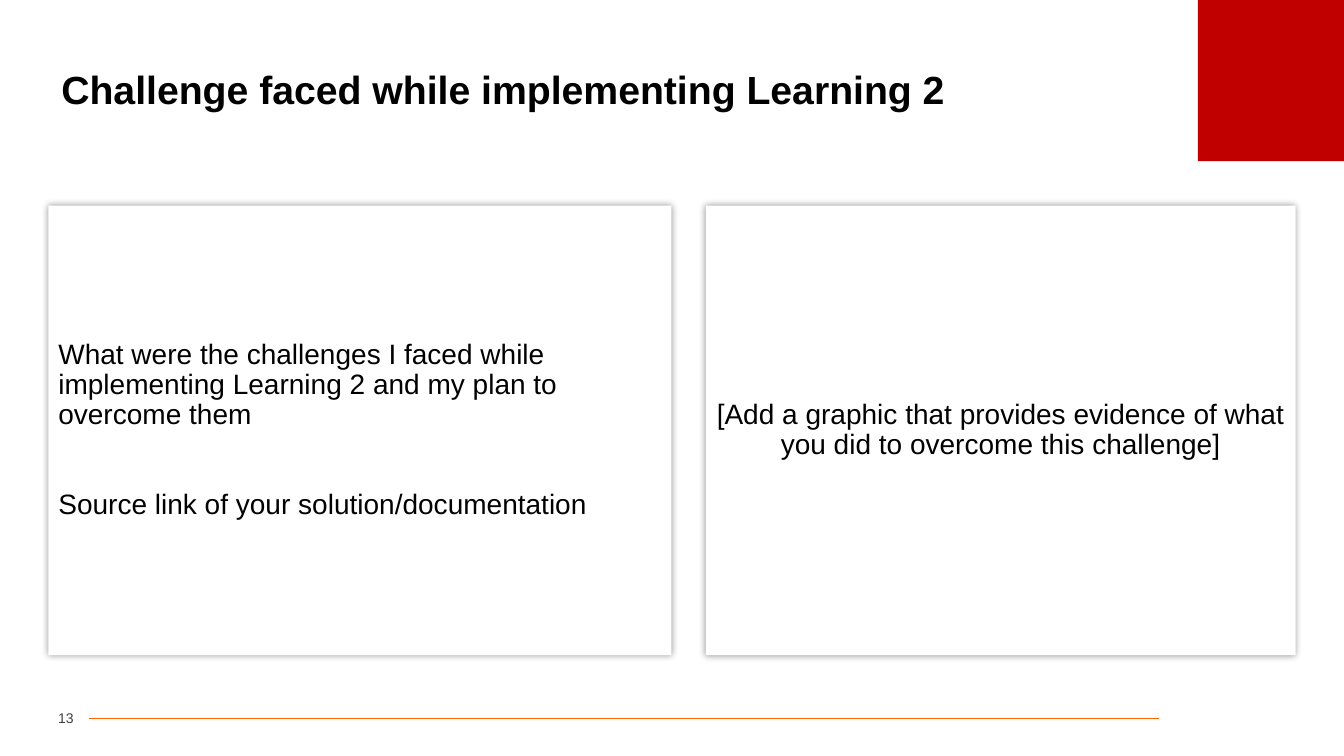
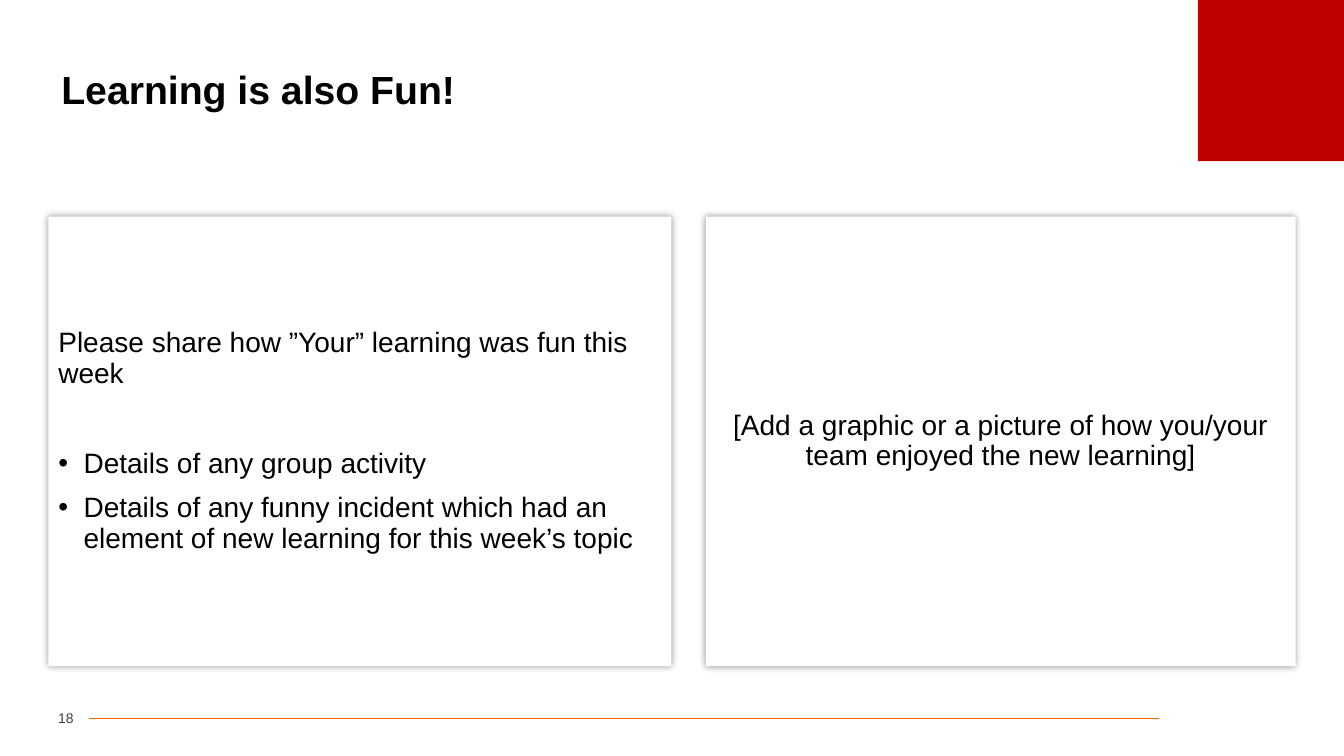
from dataclasses import dataclass

from lxml.etree import SubElement
from pptx import Presentation
from pptx.dml.color import RGBColor
from pptx.enum.shapes import MSO_CONNECTOR, MSO_SHAPE
from pptx.enum.text import MSO_ANCHOR as Anchor, PP_ALIGN as Align
from pptx.oxml.ns import qn
from pptx.slide import Slide
from pptx.text.text import TextFrame
from pptx.util import Inches, Length, Pt

COLORS = {
    "panel": "FFFFFF",
    "corner": "C00000",
    "rule": "FF6600",
    "text": "000000",
    "number": "404040",
    "shadow": "000000",
}
FONT = "Arial"
LINE_SPACING = 0.9
PARAGRAPH_GAP = Pt(10)
SECTION_GAP = Pt(43)
PANEL_HEIGHT = 4.46


@dataclass
class Line:
    text: str
    bullet: bool = False
    gap: Length = PARAGRAPH_GAP


@dataclass
class Panel:
    left: float
    width: float
    align: Align


@dataclass
class Page:
    number: int
    title: str
    panels_top: float
    notes: list[Line]
    graphic: list[Line]


NOTES_PANEL = Panel(0.48, 6.18, Align.LEFT)
GRAPHIC_PANEL = Panel(7, 5.85, Align.CENTER)

PAGES = [
    Page(
        13, "Challenge faced while implementing Learning 2", 2.04,
        [
            Line("What were the challenges I faced while implementing "
                 "Learning 2 and my plan to overcome them"),
            Line("Source link of your solution/documentation", gap=SECTION_GAP),
        ],
        [Line("[Add a graphic that provides evidence of what you did "
              "to overcome this challenge]")],
    ),
    Page(
        18, "Learning is also Fun!", 2.15,
        [
            Line("Please share how ”Your” learning was fun this week"),
            Line("Details of any group activity", True, SECTION_GAP),
            Line("Details of any funny incident which had an element of "
                 "new learning for this week’s topic", True),
        ],
        [Line("[Add a graphic or a picture of how you/your team "
              "enjoyed the new learning]")],
    ),
]


def rgb(name: str) -> RGBColor:
    return RGBColor.from_string(COLORS[name])


def write(frame: TextFrame, lines: list[Line], size: int, align: Align,
          color: str = "text", bold: bool = False) -> None:
    frame.word_wrap = True
    frame.vertical_anchor = Anchor.MIDDLE
    for index, line in enumerate(lines):
        paragraph = frame.add_paragraph() if index else frame.paragraphs[0]
        paragraph.alignment = align
        paragraph.line_spacing = LINE_SPACING
        paragraph.space_before = line.gap
        if line.bullet:
            properties = paragraph._p.get_or_add_pPr()
            properties.set("marL", str(Inches(0.25)))
            properties.set("indent", str(Inches(-0.25)))
            SubElement(properties, qn("a:buFont"), typeface=FONT)
            SubElement(properties, qn("a:buChar"), char="•")
        run = paragraph.add_run()
        run.text = line.text
        run.font.name = FONT
        run.font.size = Pt(size)
        run.font.bold = bold
        run.font.color.rgb = rgb(color)


def add_box(slide: Slide, left: float, top: float, width: float,
            height: float, color: str):
    box = slide.shapes.add_shape(MSO_SHAPE.RECTANGLE, Inches(left), Inches(top),
                                 Inches(width), Inches(height))
    box.fill.solid()
    box.fill.fore_color.rgb = rgb(color)
    box.line.fill.background()
    box.shadow.inherit = False
    return box


def add_panel(slide: Slide, panel: Panel, top: float, lines: list[Line]) -> None:
    box = add_box(slide, panel.left, top, panel.width, PANEL_HEIGHT, "panel")
    # Soft glow of shadow on all sides
    effects = box._element.spPr.find(qn("a:effectLst"))
    shadow = SubElement(effects, qn("a:outerShdw"), blurRad=str(Pt(5)),
                        dist="0", dir="0", algn="ctr", rotWithShape="0")
    tint = SubElement(shadow, qn("a:srgbClr"), val=COLORS["shadow"])
    SubElement(tint, qn("a:alpha"), val="40000")
    write(box.text_frame, lines, 20, panel.align)


def add_frame(slide: Slide, page: Page) -> None:
    # Footer rule
    rule = slide.shapes.add_connector(MSO_CONNECTOR.STRAIGHT, Inches(0.88),
                                      Inches(7.13), Inches(11.5), Inches(7.13))
    rule.line.color.rgb = rgb("rule")
    rule.line.width = Pt(0.5)
    SubElement(rule._element.spPr, qn("a:effectLst"))

    # Corner block
    add_box(slide, 11.88, 0, 1.46, 1.6, "corner")

    # Title
    title = slide.shapes.add_textbox(Inches(0.51), Inches(0.52),
                                     Inches(12.31), Inches(0.78))
    write(title.text_frame, [Line(page.title, gap=Pt(0))], 28, Align.LEFT, bold=True)

    # Page number
    number = slide.shapes.add_textbox(Inches(0.33), Inches(6.99),
                                      Inches(0.4), Inches(0.29)).text_frame
    number.margin_left = number.margin_right = 0
    write(number, [Line(str(page.number), gap=Pt(0))], 10, Align.RIGHT, "number")


def main() -> None:
    deck = Presentation()
    deck.slide_width, deck.slide_height = Inches(13.33), Inches(7.5)
    for page in PAGES:
        slide = deck.slides.add_slide(deck.slide_layouts[6])
        add_frame(slide, page)
        add_panel(slide, NOTES_PANEL, page.panels_top, page.notes)
        add_panel(slide, GRAPHIC_PANEL, page.panels_top, page.graphic)
    deck.save("out.pptx")


if __name__ == "__main__":
    main()
